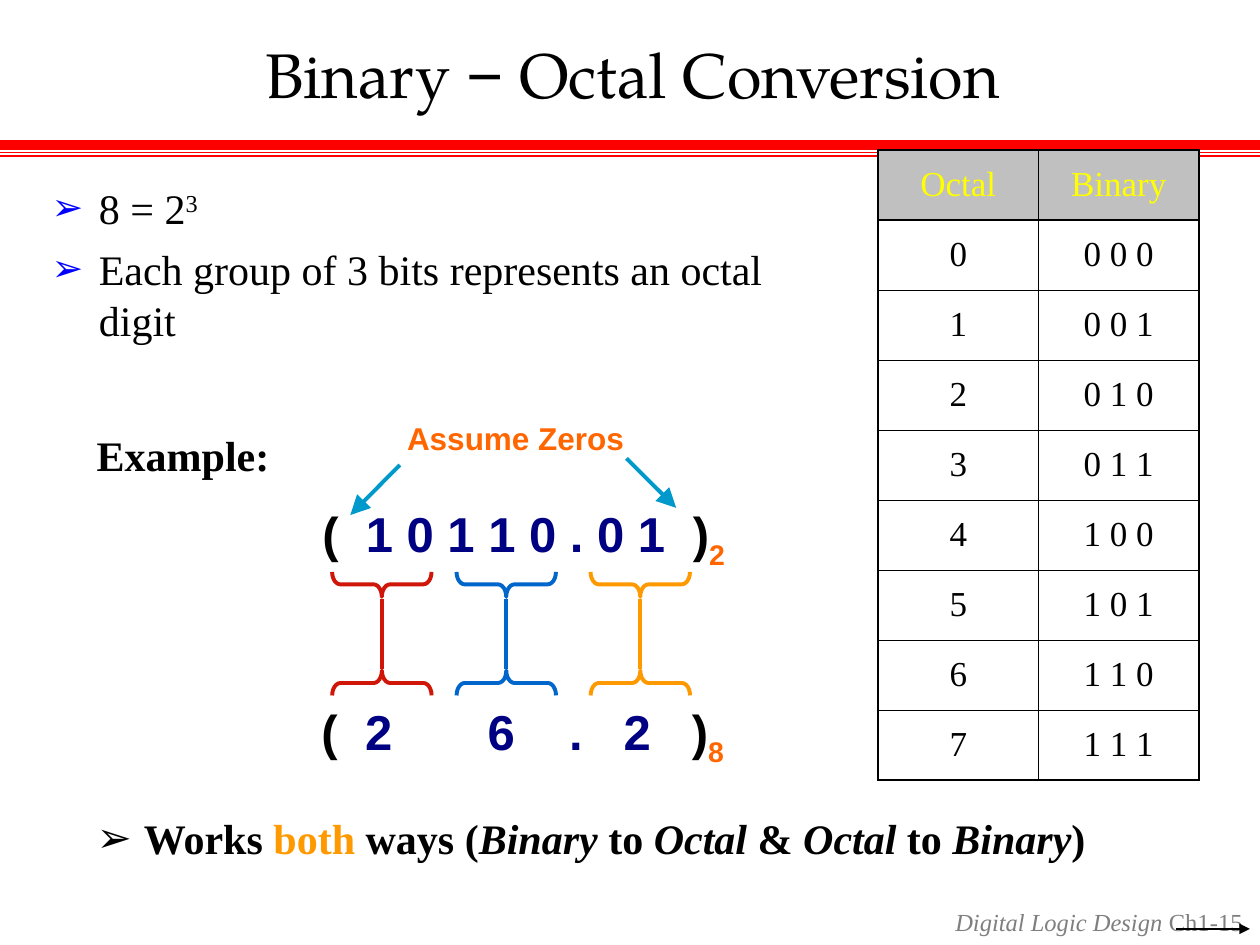
from lxml import etree
from pptx import Presentation
from pptx import util as u
from pptx.dml import color as dml
from pptx.enum import shapes, text
from pptx.oxml import ns

Pt = u.Pt
hue = dml.RGBColor.from_string
serif = "Times New Roman"
sans = "Arial"


def put(para, words, size=24, face=serif, color="000000", bold=False, slant=False, base=0):
    run = para.add_run()
    run.text = words
    font = run.font
    font.size, font.name, font.bold, font.italic = Pt(size), face, bold, slant
    font.color.rgb = hue(color)
    if base:
        run._r.get_or_add_rPr().set("baseline", str(base * 1000))


def rule(x1, y1, x2, y2, color, width, head=None):
    line = slide.shapes.add_connector(
        shapes.MSO_CONNECTOR.STRAIGHT, Pt(x1), Pt(y1), Pt(x2), Pt(y2))
    line.line.color.rgb = hue(color)
    line.line.width = Pt(width)
    if head:
        etree.SubElement(line.line._get_or_add_ln(), ns.qn("a:tailEnd"),
                         type="triangle", w=head, len=head)
    etree.SubElement(line._element.spPr, ns.qn("a:effectLst"))


deck = Presentation()
deck.slide_width, deck.slide_height = Pt(720), Pt(540)
slide = deck.slides.add_slide(deck.slide_layouts[1])

for y, width in [(82.8, 6), (87.1, 1), (89.3, 1)]:
    rule(-0.7, y, 720, y, "FF0000", width)

title, body = slide.placeholders
for item, area, pad in [(title, (23.8, 18, 675.4, 48.2), (0, 0)),
                        (body, (24.5, 102.2, 462.2, 97.2), (5, 2.2))]:
    item.left, item.top, item.width, item.height = map(Pt, area)
    frame = item.text_frame
    frame.auto_size = text.MSO_AUTO_SIZE.NONE
    frame.margin_left = frame.margin_right = Pt(pad[0])
    frame.margin_top = frame.margin_bottom = Pt(pad[1])

title.text_frame.vertical_anchor = text.MSO_ANCHOR.MIDDLE
head = title.text_frame.paragraphs[0]
head.alignment = text.PP_ALIGN.CENTER
for words, face in [("Binary ", "TeX Gyre Pagella"), ("−", sans),
                    (" Octal Conversion", "TeX Gyre Pagella")]:
    put(head, words, size=36, face=face)

body.text_frame.vertical_anchor = text.MSO_ANCHOR.TOP
power = body.text_frame.paragraphs[0]
put(power, "8 = 2")
put(power, "3", base=30)
power.space_before = Pt(0)
group = body.text_frame.add_paragraph()
put(group, "Each group of 3 bits represents an octal digit")
group.space_before = Pt(6)

grid = slide.shapes.add_table(9, 2, Pt(501.8), Pt(85.7), Pt(183.4), Pt(360)).table
grid.horz_banding = False
rows = [("Octal", "Binary")] + [(str(n), " ".join(f"{n:03b}")) for n in range(8)]
for r, row in enumerate(rows):
    grid.rows[r].height = Pt(40)
    for c, words in enumerate(row):
        cell = grid.cell(r, c)
        cell.vertical_anchor = text.MSO_ANCHOR.MIDDLE
        para = cell.text_frame.paragraphs[0]
        para.alignment = text.PP_ALIGN.CENTER
        put(para, words, size=20, color="000000" if r else "FFFF00")
        props = cell._tc.get_or_add_tcPr()
        thick = {"lnL": c == 0, "lnR": c == 1, "lnT": r < 2, "lnB": r in (0, 8)}
        for side, wide in thick.items():
            edge = etree.SubElement(props, ns.qn("a:" + side), w=str(Pt(1.08 if wide else 0.45)))
            fill = etree.SubElement(edge, ns.qn("a:solidFill"))
            etree.SubElement(fill, ns.qn("a:srgbClr"), val="000000")
        if r:
            cell.fill.background()
        else:
            cell.fill.solid()
            cell.fill.fore_color.rgb = hue("C0C0C0")

big = dict(size=28, face=sans, bold=True)
navy = dict(big, color="000082")
sub = dict(big, color="FF6600", base=-25)
bold = dict(bold=True)
both = dict(bold=True, slant=True)
gray = dict(size=14, color="7F7F7F")
lean = dict(gray, slant=True)
boxes = [
    ("foot", (536.4, 514.8, 180.7, 24.5), True, [],
     [("Digital Logic Design ", lean), ("Ch1", gray), ("-", lean), ("15", gray)]),
    ("label", (48.2, 241.9, 113, 36), False, [], [("Example:", bold)]),
    ("binary", (177.1, 284.4, 244.1, 45.4), True, [24.9, 211.7],
     [("(\t", big), ("1 0 1 1 0 . 0 1\t", navy), (")", big), ("2", sub)]),
    ("octal", (176.6, 397.4, 244.1, 45.4), True, [24.9, 94.9, 141.6, 172.7, 211.7],
     [("(\t", big), ("2\t6\t.\t2\t", navy), (")", big), ("8", sub)]),
    ("zeros", (232.6, 241.9, 141.8, 19.4), True, [],
     [("Assume Zeros", dict(size=18, face=sans, color="FF6600", bold=True))]),
    ("works", (48.2, 460.8, 645.1, 36), True, [],
     [("Works ", bold), ("both", dict(bold=True, color="FF9900")), (" ways (", bold),
      ("Binary", both), (" to ", bold), ("Octal", both), (" & ", bold),
      ("Octal", both), (" to ", bold), ("Binary", both), (")", bold)]),
]
paras = {}
for name, area, wrap, stops, runs in boxes:
    frame = slide.shapes.add_textbox(*map(Pt, area)).text_frame
    frame.word_wrap = wrap
    para = paras[name] = frame.paragraphs[0]
    if name == "zeros":
        frame.margin_left = frame.margin_right = frame.margin_top = frame.margin_bottom = 0
        para.line_spacing = 0.9
    if stops:
        frame.margin_right = 0
        tabs = etree.SubElement(para._p.get_or_add_pPr(), ns.qn("a:tabLst"))
        for stop in stops:
            etree.SubElement(tabs, ns.qn("a:tab"), pos=str(Pt(stop)), algn="l")
    for words, look in runs:
        put(para, words, **look)
paras["foot"].alignment = text.PP_ALIGN.RIGHT

for para, color, scale in [(power, "0000FF", 90), (group, "0000FF", 90),
                           (paras["works"], "000000", 100)]:
    props = para._p.get_or_add_pPr()
    props.set("marL", str(Pt(27)))
    props.set("indent", str(-Pt(27)))
    tint = etree.SubElement(props, ns.qn("a:buClr"))
    etree.SubElement(tint, ns.qn("a:srgbClr"), val=color)
    etree.SubElement(props, ns.qn("a:buSzPct"), val=str(scale * 1000))
    etree.SubElement(props, ns.qn("a:buFont"), typeface=sans)
    etree.SubElement(props, ns.qn("a:buChar"), char="➢")

for x, color in [(365.9, "FF9900"), (289.3, "0066CC"), (218.2, "D01608")]:
    for y, turn in [(333.9, 270), (390.3, 90)]:
        brace = slide.shapes.add_shape(
            shapes.MSO_SHAPE.LEFT_BRACE, Pt(x - 7.1), Pt(y - 28.4), Pt(14.2), Pt(56.8))
        brace.rotation = turn
        brace.adjustments[0] = 0.33
        brace.shadow.inherit = False
        brace.fill.background()
        brace.line.color.rgb = hue(color)
        brace.line.width = Pt(2.25)
    rule(x, 342, x, 382.3, color, 2.25)

rule(228.5, 265.7, 200.2, 294.3, "0099CC", 2.25, head="lg")
rule(358, 262, 386.4, 290.2, "0099CC", 2.25, head="lg")
rule(671.8, 530.8, 714.2, 530.8, "000000", 0.75, head="med")

deck.save("out.pptx")
